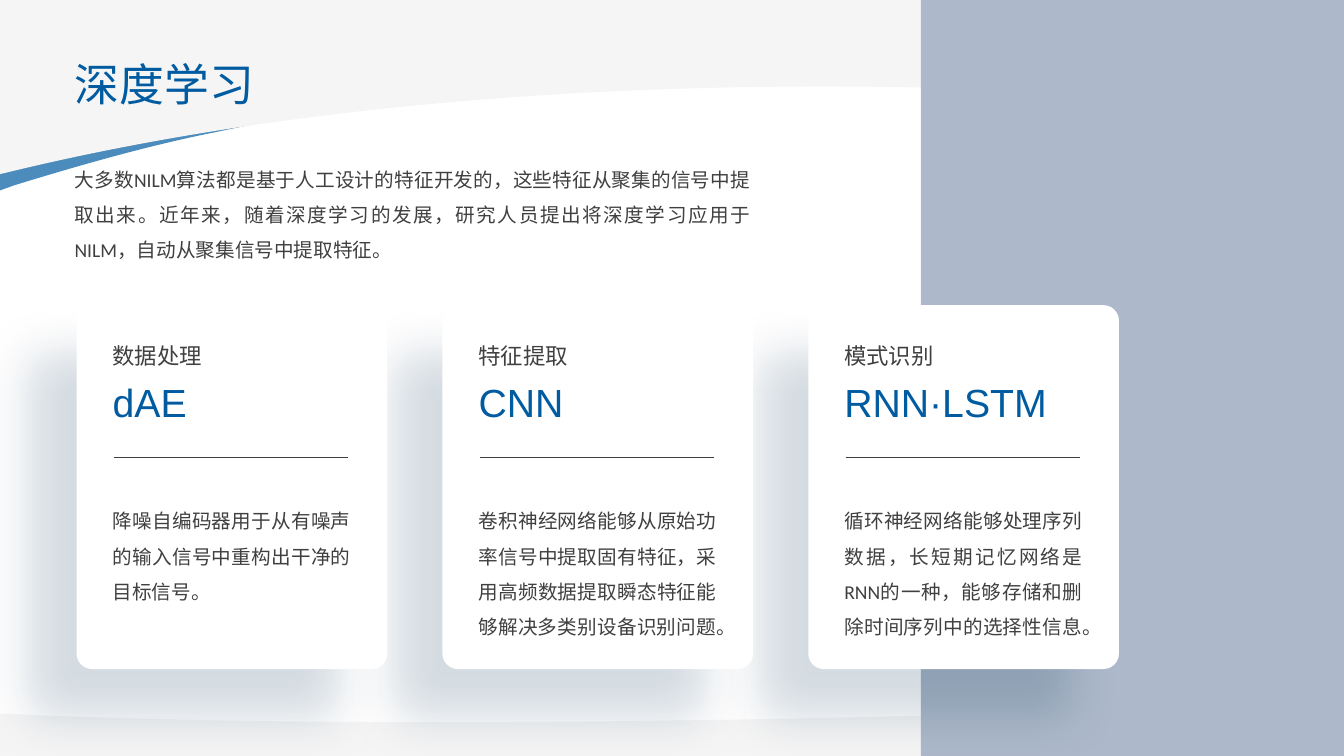
"""Build the deep learning slide with three method cards."""
import pptx
import pptx.dml.color
import pptx.enum.shapes
import pptx.enum.text
import pptx.oxml
import pptx.oxml.ns
import pptx.util
from pptx.util import Cm

COLORS = {"blue": "005BA1", "band": "4C8CBD", "pale": "F5F5F5", "panel": "ADB9CA",
          "white": "FFFFFF", "text": "404040", "shade": "002D50"}
WIDE, HIGH = 33.87, 19.05
INTRO = ("大多数NILM算法都是基于人工设计的特征开发的，这些特征从聚集的信号中提取出来。"
         "近年来，随着深度学习的发展，研究人员提出将深度学习应用于NILM，自动从聚集信号中提取特征。")
CARDS = [
    ("数据处理", "dAE", "降噪自编码器用于从有噪声的输入信号中重构出干净的目标信号。", 2.84),
    ("特征提取", "CNN", "卷积神经网络能够从原始功率信号中提取固有特征，"
     "采用高频数据提取瞬态特征能够解决多类别设备识别问题。", 3.76),
    ("模式识别", "RNN·LSTM", "循环神经网络能够处理序列数据，长短期记忆网络是RNN的一种，"
     "能够存储和删除时间序列中的选择性信息。", 3.76),
]
WAVES = [
    ("band", [(0, 4.8), (0, 0.56), (WIDE, 0.56), (WIDE, 2.31)],
     [(26.21, 0.15), (13.06, 1.7), (5.44, 3.33), (3.91, 3.63), (2.18, 4.11), (0.36, 4.67)]),
    ("pale", [(0, 0), (WIDE, 0), (WIDE, 3.02)],
     [(28.96, 2.21), (13.13, 1.14), (0, 4.39)]),
    ("pale", [(WIDE, 17.65), (WIDE, HIGH), (0, HIGH), (0, 17.98), (1.12, 18.03)],
     [(9.96, 18.39), (23.11, 18.11), (30.99, 17.78)]),
]


def paint(shape, color):
    shape.fill.solid()
    shape.fill.fore_color.rgb = pptx.dml.color.RGBColor.from_string(COLORS[color])
    shape.line.fill.background()
    shape.shadow.inherit = False


def write(left, top, width, height, text, size, font, color, space):
    box = slide.shapes.add_textbox(Cm(left), Cm(top), Cm(width), Cm(height))
    box.text_frame.word_wrap = True
    para = box.text_frame.paragraphs[0]
    para.text = text
    para.alignment = pptx.enum.text.PP_ALIGN.JUSTIFY
    para.line_spacing = space
    para.font.size = pptx.util.Pt(size)
    para.font.name = font
    para.font.color.rgb = pptx.dml.color.RGBColor.from_string(COLORS[color])


deck = pptx.Presentation()
deck.slide_width, deck.slide_height = Cm(WIDE), Cm(HIGH)
layout = deck.slide_layouts[5]
slide = deck.slides.add_slide(layout)
kinds = pptx.enum.shapes.MSO_SHAPE
qn = pptx.oxml.ns.qn
space = pptx.oxml.ns.nsdecls("a")

for order, (color, edges, bends) in enumerate(WAVES):
    points = [(Cm(x), Cm(y)) for x, y in edges + bends]
    form = slide.shapes.build_freeform(*points[0])
    form.add_line_segments(points[1:], close=True)
    wave = form.convert_to_shape()
    paint(wave, color)
    steps = list(wave._element.iter(qn("a:lnTo")))[len(edges) - 1:][:len(bends)]
    for i in range(0, len(bends), 3):
        curve = pptx.oxml.parse_xml(f"<a:cubicBezTo {space}/>")
        steps[i].addprevious(curve)
        for step in steps[i:i + 3]:
            curve.append(step[0])
            step.getparent().remove(step)
    layout.shapes._spTree.insert(2 + order, wave._element)

panel = slide.shapes.add_shape(kinds.RECTANGLE, Cm(23.21), 0, Cm(10.66), Cm(HIGH))
paint(panel, "panel")

title = slide.shapes.title
slide.shapes._spTree.append(title._element)
title.left, title.top, title.width, title.height = Cm(1.63), Cm(1.3), Cm(25.22), Cm(1.63)
title.text_frame.text = "深度学习"
title.text_frame.vertical_anchor = pptx.enum.text.MSO_ANCHOR.MIDDLE
head = title.text_frame.paragraphs[0]
head.alignment = pptx.enum.text.PP_ALIGN.LEFT
head.font.size = pptx.util.Pt(32)
head.font.name = "Calibri"
head.font.color.rgb = pptx.dml.color.RGBColor.from_string(COLORS["blue"])

lefts = [1.93 + 9.22 * i for i in range(len(CARDS))]
for left in reversed(lefts):
    card = slide.shapes.add_shape(kinds.ROUNDED_RECTANGLE, Cm(left), Cm(7.69), Cm(7.83), Cm(9.17))
    card.adjustments[0] = 0.05
    paint(card, "white")
    glow = card._element.spPr.find(qn("a:effectLst"))
    glow.append(pptx.oxml.parse_xml(
        f'<a:outerShdw {space} blurRad="{pptx.util.Pt(35)}" '
        f'dist="{pptx.util.Pt(49)}" dir="8100000" algn="tr" rotWithShape="0">'
        f'<a:srgbClr val="{COLORS["shade"]}"><a:alpha val="17000"/></a:srgbClr></a:outerShdw>'))

for left, (topic, model, note, tall) in zip(lefts, CARDS):
    inner = left + 0.66
    write(inner, 12.41, 6.5, tall, note, 14, "Calibri", "text", 1.5)
    write(inner, 9.42, 6.5, 1.45, model, 28, "Arial", "blue", 1)
    write(inner, 8.5, 6.5, 0.94, topic, 16, "Arial", "text", 1)
    rule = slide.shapes.add_connector(pptx.enum.shapes.MSO_CONNECTOR.STRAIGHT,
                                      Cm(left + 0.94), Cm(11.53), Cm(left + 6.85), Cm(11.53))
    rule.line.width = pptx.util.Pt(1)
    rule.line.color.rgb = pptx.dml.color.RGBColor.from_string(COLORS["text"])
    rule._element.spPr.append(pptx.oxml.parse_xml(f"<a:effectLst {space}/>"))

write(1.63, 3.8, 17.54, 2.84, INTRO, 14, "Calibri", "text", 1.5)

deck.save("out.pptx")
